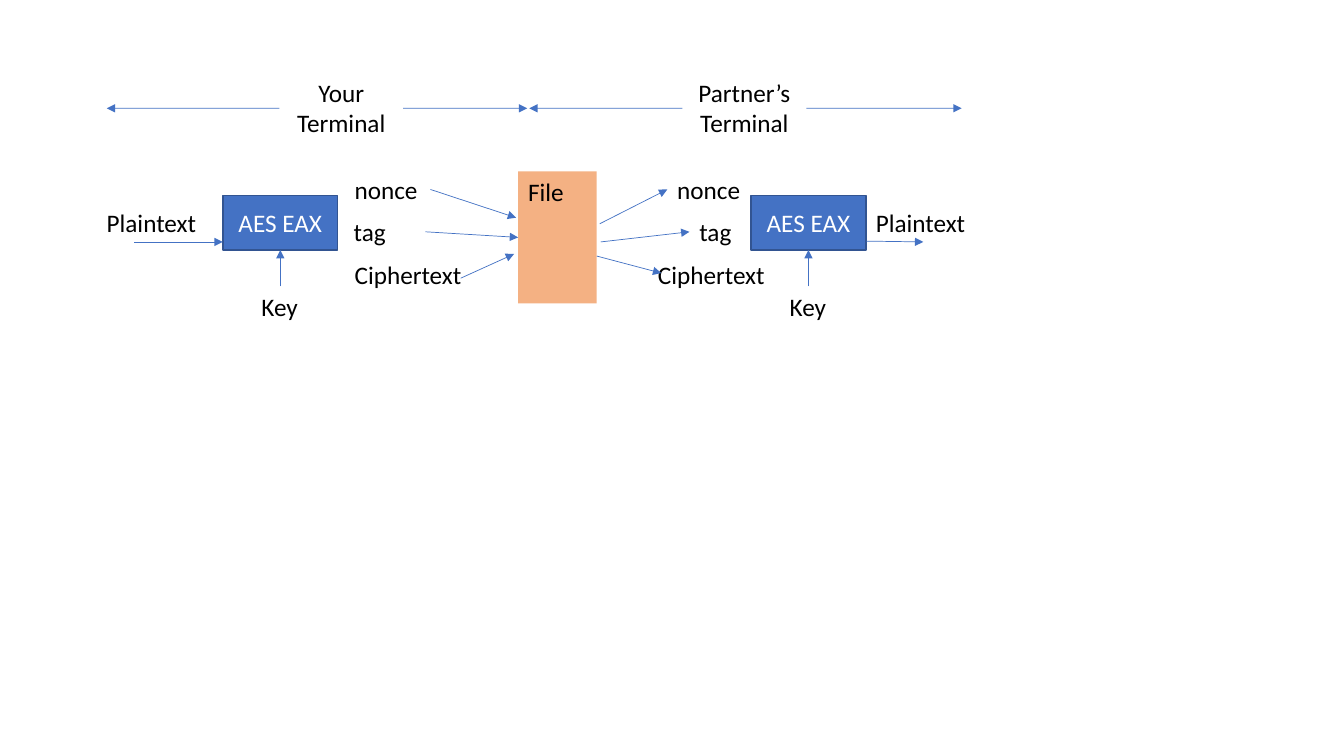
from lxml import etree
from pptx import Presentation
from pptx import util as u
from pptx.dml.color import RGBColor
from pptx.enum import shapes, text
from pptx.oxml.ns import qn

COLORS = {"blue": "4472C4", "edge": "325491", "peach": "F4B183",
          "white": "FFFFFF", "black": "000000"}
SLIDE_W, SLIDE_H = 13.33, 7.5

# percent of slide width and height
TEXT_H = 5.33
AES_X, AES_Y, AES_W, AES_H = 16.58, 25.87, 8.55, 7.2
AES_STEP = 39.3
KEY_W, KEY_Y = 4.28, 37.87
TITLE_X, TITLE_STEP, TITLE_Y, TITLE_H = 20.78, 30, 9.6, 9.47
WIDE, PLAIN_Y, TITLE_MID = 9.22, 26.8, 14.33
FIELD_Y, FIELD_STEP = 22.4, 5.6
FILE = (38.55, 22.67, 5.85, 17.47)

SIDES = [
    ("your", "Your Terminal", 7.2, [25.65, 25.58, 25.65], [6.38, 6.08, 9.9]),
    ("partner", "Partner’s Terminal", AES_X + AES_STEP + AES_W,
     [49.65, 51.3, 48.22], [6.38, 6.08, 10.2]),
]
FIELDS = ["nonce", "tag", "Ciphertext"]

TOP, LEFT, BOTTOM, RIGHT = range(4)
ARROWS = [
    (("your title", LEFT), (7.95, TITLE_MID)),
    (("your title", RIGHT), (39.23, TITLE_MID)),
    (("partner title", LEFT), (39.38, TITLE_MID)),
    (("partner title", RIGHT), (71.55, TITLE_MID)),
    (("your key", TOP), ("your aes", BOTTOM)),
    (("partner key", TOP), ("partner aes", BOTTOM)),
    ((9.98, 32), (16.58, 32)),
    ((64.43, 31.9), (68.7, 32)),
    (("your nonce", RIGHT), (38.4, 28.8)),
    (("your tag", RIGHT), ("file", LEFT)),
    ((34.28, 36.8), (38.25, 33.6)),
    ((44.63, 29.6), ("partner nonce", LEFT)),
    ((44.7, 32), ("partner tag", LEFT)),
    ((44.4, 33.87), (49.2, 36.13)),
]

prs = Presentation()
prs.slide_width, prs.slide_height = u.Inches(SLIDE_W), u.Inches(SLIDE_H)
s = prs.slides.add_slide(prs.slide_layouts[6])
placed = {}


def across(x):
    return u.Inches(SLIDE_W * x / 100)


def down(y):
    return u.Inches(SLIDE_H * y / 100)


def color(name):
    return RGBColor.from_string(COLORS[name])


def write(sp, words, ink="black", centred=False, anchor=text.MSO_ANCHOR.TOP):
    tf = sp.text_frame
    tf.word_wrap = True
    tf.vertical_anchor = anchor
    p = tf.paragraphs[0]
    p.alignment = text.PP_ALIGN.CENTER if centred else text.PP_ALIGN.LEFT
    r = p.add_run()
    r.text = words
    r.font.name, r.font.size = "Calibri", u.Pt(18)
    r.font.color.rgb = color(ink)


def label(name, words, x, y, w, h=TEXT_H, centred=False):
    sp = s.shapes.add_textbox(across(x), down(y), across(w), down(h))
    write(sp, words, centred=centred)
    placed[name] = sp


def block(name, x, y, w, h, fill, edge=None):
    sp = s.shapes.add_shape(shapes.MSO_SHAPE.RECTANGLE,
                            across(x), down(y), across(w), down(h))
    sp.shadow.inherit = False
    sp.fill.solid()
    sp.fill.fore_color.rgb = color(fill)
    if edge:
        sp.line.color.rgb = color(edge)
        sp.line.width = u.Pt(1)
    else:
        sp.line.fill.background()
    placed[name] = sp
    return sp


def arrow(start, end):
    points = [(0, 0) if isinstance(e[0], str) else (across(e[0]), down(e[1]))
              for e in (start, end)]
    c = s.shapes.add_connector(shapes.MSO_CONNECTOR.STRAIGHT, *points[0], *points[1])
    for e, connect in ((start, c.begin_connect), (end, c.end_connect)):
        if isinstance(e[0], str):
            connect(placed[e[0]], e[1])
    c.line.color.rgb = color("blue")
    c.line.width = u.Pt(0.5)
    etree.SubElement(c.line._get_or_add_ln(), qn("a:tailEnd"), type="triangle")
    etree.SubElement(c._element.spPr, qn("a:effectLst"))


write(block("file", *FILE, "peach"), "File")
for i, (side, title, plain_x, field_xs, field_ws) in enumerate(SIDES):
    aes_x = AES_X + i * AES_STEP
    write(block(f"{side} aes", aes_x, AES_Y, AES_W, AES_H, "blue", "edge"),
          "AES EAX", "white", True, text.MSO_ANCHOR.MIDDLE)
    label(f"{side} plaintext", "Plaintext", plain_x, PLAIN_Y, WIDE)
    label(f"{side} title", title, TITLE_X + i * TITLE_STEP, TITLE_Y, WIDE, TITLE_H, True)
    label(f"{side} key", "Key", aes_x + (AES_W - KEY_W) / 2, KEY_Y, KEY_W)
    for row, (field, x, w) in enumerate(zip(FIELDS, field_xs, field_ws)):
        label(f"{side} {field}", field, x, FIELD_Y + row * FIELD_STEP, w)
for start, end in ARROWS:
    arrow(start, end)

prs.save("out.pptx")
